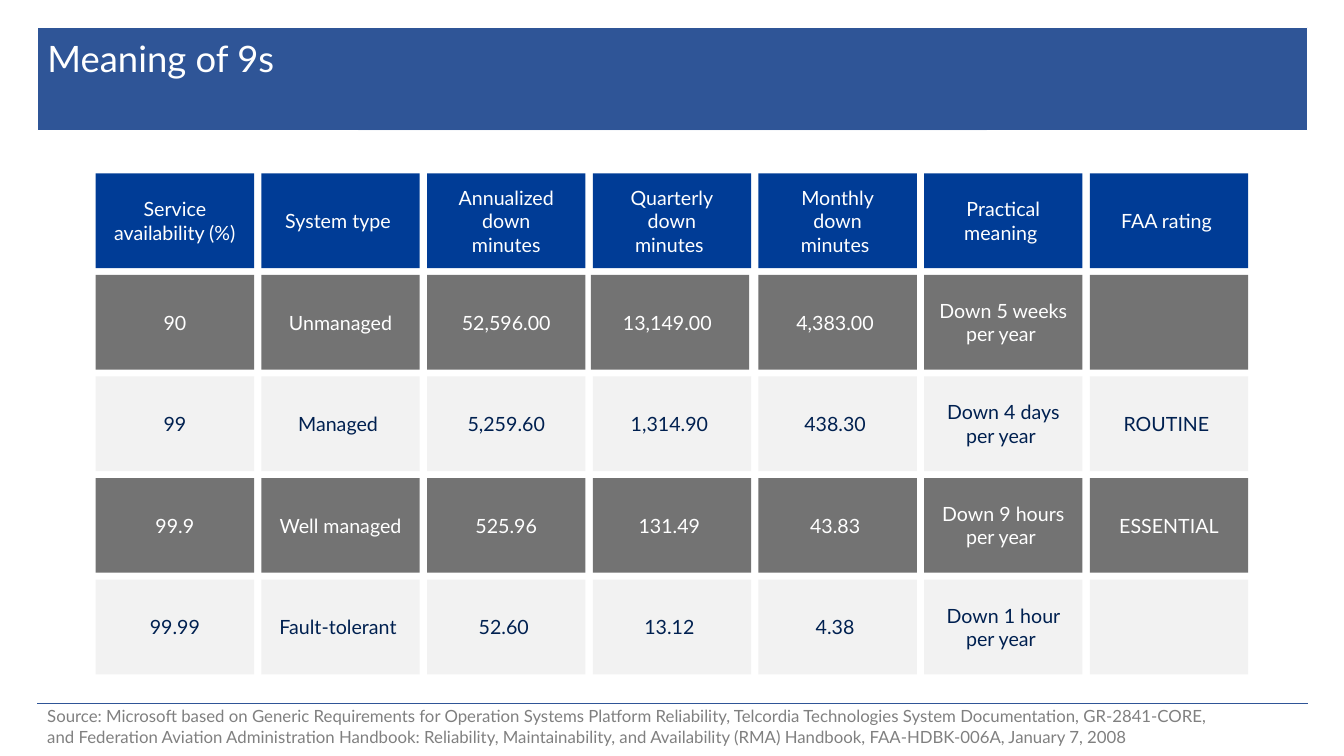
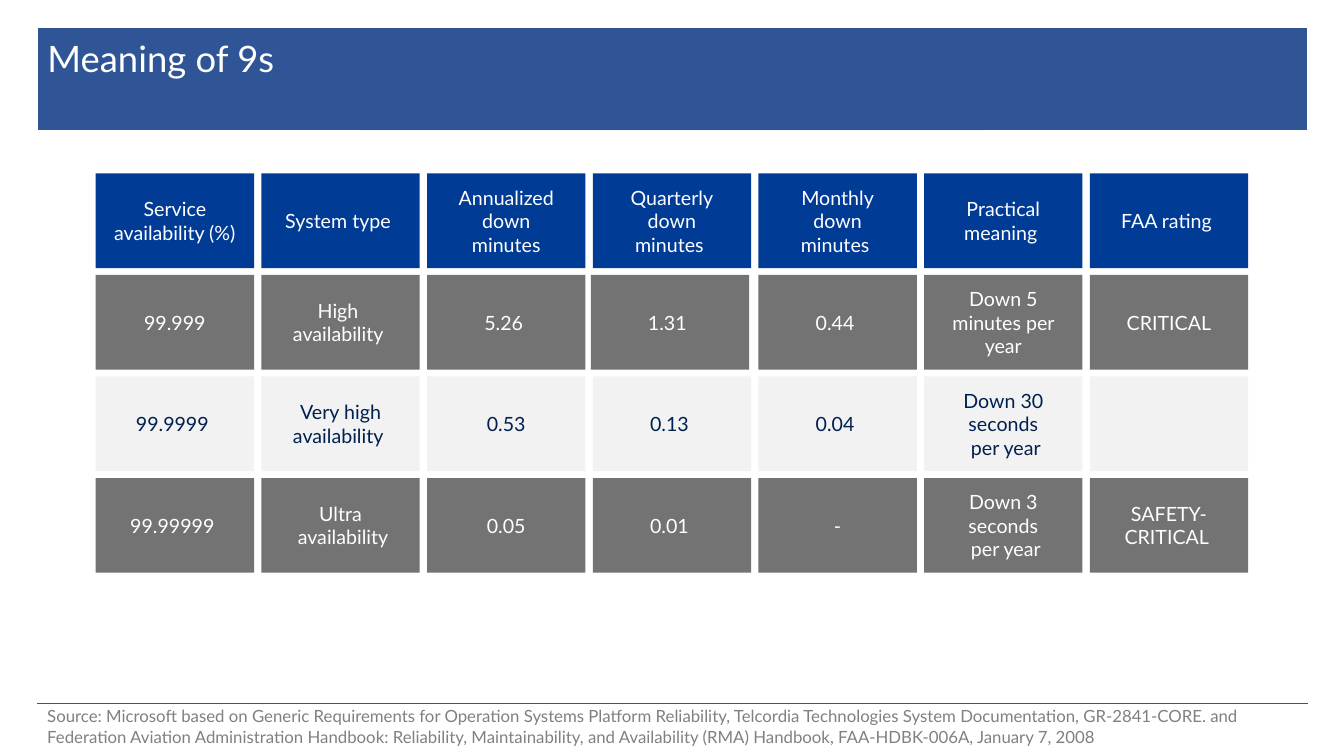
from lxml.etree import SubElement
from pptx import Presentation
from pptx.dml.color import RGBColor
from pptx.enum.shapes import MSO_CONNECTOR as Connector, MSO_SHAPE as Shape
from pptx.enum.text import MSO_ANCHOR as Anchor, MSO_AUTO_SIZE as AutoSize, PP_ALIGN as Align
from pptx.oxml.ns import qn
from pptx.util import Inches, Pt


def color(value):
    return RGBColor.from_string(value)


def write(frame, text, size, ink, align, **frame_format):
    for name, value in {"word_wrap": True, **frame_format}.items():
        setattr(frame, name, value)
    for index, line in enumerate(text.split("\n")):
        para = frame.add_paragraph() if index else frame.paragraphs[0]
        para.alignment = align
        span = para.add_run()
        span.text = line
        for name, value in {"name": "Lato", "size": Pt(size)}.items():
            setattr(span.font, name, value)
        span.font.color.rgb = color(ink)


BLUE, WHITE, NAVY, GRAY = "2F5597", "FFFFFF", "002050", "808080"
HEADER_STYLE = ("003C96", WHITE)
ROW_STYLES = [("737373", WHITE), ("F2F2F2", NAVY)]
GRID_LEFT, GRID_TOP = 0.95, 1.72
CELL_WIDTH, CELL_HEIGHT = 1.57, 0.94
COLUMN_STEP = (10.81 - GRID_LEFT) / 6
ROW_STEP = (5.75 - GRID_TOP) / 4
NUDGES = {(1, 3): -0.02}

HEADERS = [
    "Service availability (%)",
    "System type ",
    "Annualized down\n minutes ",
    "Quarterly\ndown\nminutes ",
    "Monthly\ndown\nminutes ",
    "Practical meaning ",
    "FAA rating ",
]
PAGES = [
    {
        "rows": [
            ["90", "Unmanaged", "52,596.00", "13,149.00 ", "4,383.00 ", "Down 5 weeks per year ", ""],
            ["99", "Managed ", "5,259.60", "1,314.90 ", "438.30 ", "Down 4 days per year ", "ROUTINE "],
            ["99.9", "Well managed", "525.96", "131.49 ", "43.83 ", "Down 9 hours per year ", "ESSENTIAL"],
            ["99.99", "Fault-tolerant ", "52.60 ", "13.12 ", "4.38 ", "Down 1 hour per year ", ""],
        ],
        "source": "Source: Microsoft based on Generic Requirements for Operation Systems Platform Reliability, "
        "Telcordia Technologies System Documentation, GR-2841-CORE, and Federation Aviation Administration "
        "Handbook: Reliability, Maintainability, and Availability (RMA) Handbook, FAA-HDBK-006A, January 7, 2008",
        "source_width": 11.82,
    },
    {
        "rows": [
            ["99.999", "High \navailability ", "5.26 ", "1.31 ", "0.44 ", "Down 5 minutes per year", "CRITICAL"],
            ["99.9999 ", "Very high availability ", "0.53", "0.13 ", "0.04 ", "Down 30 seconds\n per year", ""],
            ["99.99999 ", "Ultra\n availability", "0.05", "0.01 ", "-", "Down 3 seconds\n per year", "SAFETY-CRITICAL "],
        ],
        "source": "Source: Microsoft based on Generic Requirements for Operation Systems Platform Reliability, "
        "Telcordia Technologies System Documentation, GR-2841-CORE. and\nFederation Aviation Administration "
        "Handbook: Reliability, Maintainability, and Availability (RMA) Handbook, FAA-HDBK-006A, January 7, 2008",
        "source_width": 12.35,
    },
]

deck = Presentation()
deck.slide_width, deck.slide_height = Inches(13.33), Inches(7.5)
layout = deck.slide_layouts[5]
layout_title, *layout_footers = layout.placeholders
for footer in layout_footers:
    layout.shapes.element.remove(footer.element)
title_place = {"left": 0.37, "top": 0.31, "width": 11.06, "height": 0.95}
for name, value in title_place.items():
    setattr(layout_title, name, Inches(value))

pages = [deck.slides.add_slide(layout) for content in PAGES]

band = pages[0].shapes.add_shape(Shape.RECTANGLE, Inches(0.37), Inches(0.27), Inches(12.6), Inches(1.02))
band.shadow.inherit = False
band.fill.solid()
band.fill.fore_color.rgb = color(BLUE)
band.line.color.rgb = color(WHITE)
band.line.width = Pt(0.25)
rule = pages[0].shapes.add_connector(Connector.STRAIGHT, Inches(0.37), Inches(6.98), Inches(12.97), Inches(6.98))
rule.line.color.rgb = color(BLUE)
rule.line.width = Pt(0.5)
SubElement(rule.element.spPr, qn("a:effectLst"))
for position, shared in enumerate([band, rule], start=2):
    layout.shapes.element.insert(position, shared.element)

for page, content in zip(pages, PAGES):
    write(page.shapes.title.text_frame, "Meaning of 9s", 26, WHITE, Align.LEFT,
          vertical_anchor=Anchor.TOP, auto_size=AutoSize.NONE)

    source = page.shapes.add_textbox(Inches(0.37), Inches(6.97), Inches(content["source_width"]), Inches(0.47))
    write(source.text_frame, content["source"], 12, GRAY, Align.LEFT, vertical_anchor=Anchor.MIDDLE)

    for row, texts in enumerate([HEADERS, *content["rows"]]):
        fill, ink = ROW_STYLES[(row - 1) % 2] if row else HEADER_STYLE
        for column, text in enumerate(texts):
            left = GRID_LEFT + column * COLUMN_STEP + NUDGES.get((row, column), 0)
            top = GRID_TOP + row * ROW_STEP
            box = page.shapes.add_shape(
                Shape.RECTANGLE, Inches(left), Inches(top), Inches(CELL_WIDTH), Inches(CELL_HEIGHT))
            box.shadow.inherit = False
            box.fill.solid()
            box.fill.fore_color.rgb = color(fill)
            box.line.fill.background()
            if text:
                write(box.text_frame, text, 14, ink, Align.CENTER, vertical_anchor=Anchor.MIDDLE)

deck.save("out.pptx")
